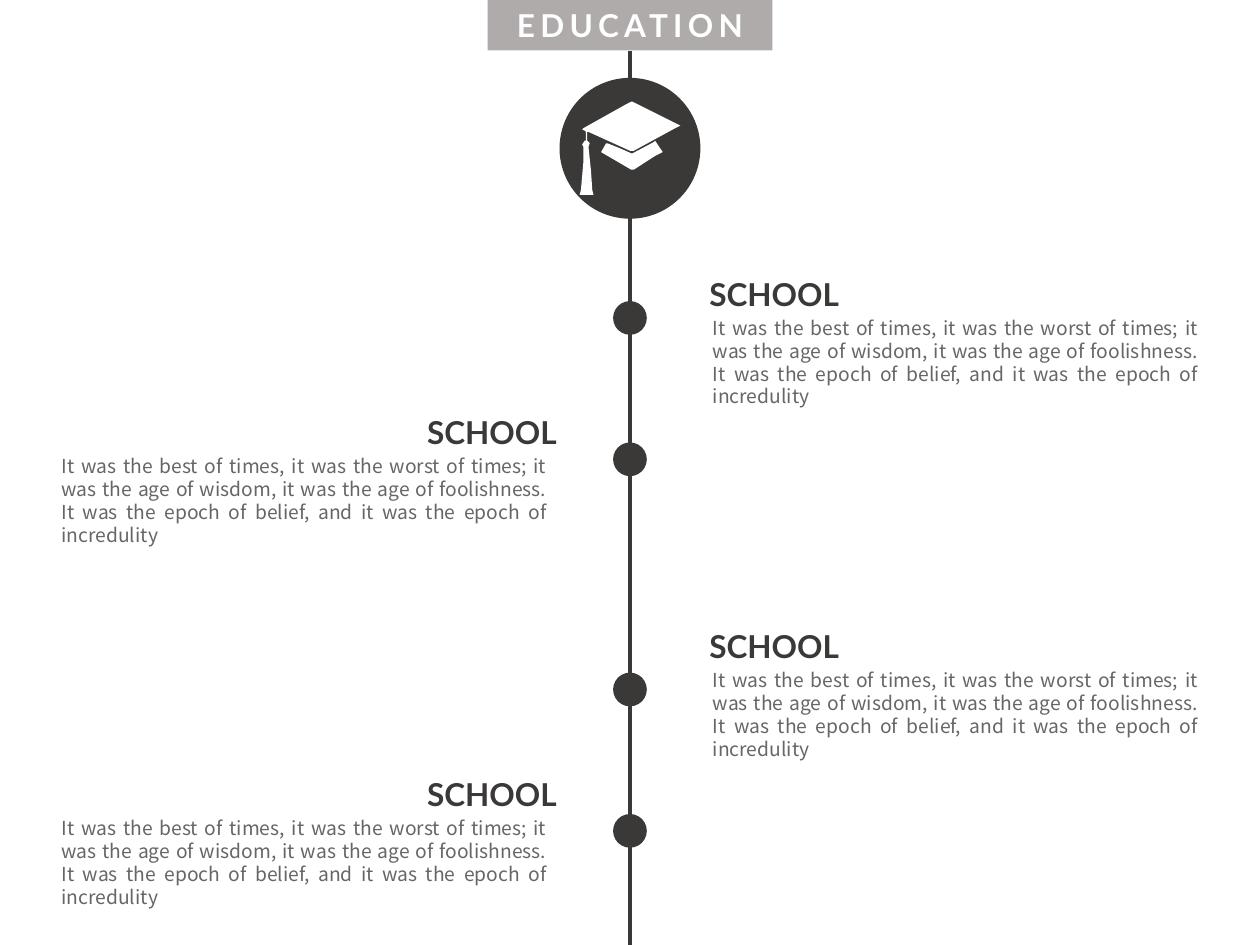
from dataclasses import dataclass

import lxml.etree
import pptx
import pptx.dml.color
import pptx.enum.shapes
import pptx.enum.text
import pptx.oxml.ns
import pptx.util
from pptx.util import Cm

SHAPE = pptx.enum.shapes.MSO_SHAPE
ALIGN = pptx.enum.text.PP_ALIGN


@dataclass(frozen=True)
class Theme:
    dark: str = "3B3838"
    banner: str = "AFABAB"
    body: str = "666666"
    white: str = "FFFFFF"
    heading_font: str = "Lato"
    body_font: str = "Noto Sans CJK SC"
    heading_size: float = 18
    body_size: float = 11
    body_leading: float = 13.1
    line_width: float = 2.25


THEME = Theme()
BODY_TEXT = (
    "It was the best of times, it was the worst of times; it was the age of "
    "wisdom, it was the age of foolishness. It was the epoch of belief, and "
    "it was the epoch of incredulity"
)
AXIS_X = 12.7
DOT_SIZE = 0.68
ENTRY_WIDTH, HEADING_WIDTH, HEADING_HEIGHT = 10.29, 4.11, 1.02

# Entry left, heading offset, heading top, dot top
RIGHT, LEFT = (14.12, -0.07), (0.99, 7.37)
ENTRIES = [
    (RIGHT, 5.41, 6.07),
    (LEFT, 8.2, 8.92),
    (RIGHT, 12.52, 13.56),
    (LEFT, 15.49, 16.41),
]

# Graduation cap outlines, on a grid 112 units across the badge
ICON_GRID = 112
BOARD_AND_TASSEL = [
    (22, 43), (22, 50), (24, 52), (23, 55), (25, 74), (26, 89), (27, 93),
    (16, 93), (17, 89), (19, 66), (19, 55), (18, 53), (20, 50), (21, 50),
    (21, 43), (20, 42), (18, 41), (19, 40), (53, 21), (57, 19), (58, 19),
    (90, 35), (96, 38), (92, 40), (59, 58), (56, 58), (23, 43),
]
CAP_BASE = [
    (33, 59), (37, 52), (38, 52), (48, 56), (57, 60), (58, 60), (75, 51),
    (76, 50), (82, 59), (76, 62), (59, 73), (57, 73),
]


def rgb(value):
    return pptx.dml.color.RGBColor.from_string(value)


def paint(shape, color):
    shape.shadow.inherit = False
    shape.fill.solid()
    shape.fill.fore_color.rgb = rgb(color)
    shape.line.fill.background()
    return shape


def add_filled(shapes, preset, box, color):
    return paint(shapes.add_shape(preset, *map(Cm, box)), color)


def write_text(shape, text, *, font, size, color, bold=False,
               align=ALIGN.LEFT, leading=None, spacing=None):
    frame = shape.text_frame
    frame.word_wrap = True
    frame.auto_size = pptx.enum.text.MSO_AUTO_SIZE.SHAPE_TO_FIT_TEXT
    paragraph = frame.paragraphs[0]
    paragraph.alignment = align
    if leading:
        paragraph.line_spacing = pptx.util.Pt(leading)
    run = paragraph.add_run()
    run.text = text
    run.font.name = font
    run.font.size = pptx.util.Pt(size)
    run.font.bold = bold
    run.font.color.rgb = rgb(color)
    if spacing:
        run.font._element.set("spc", str(int(spacing * 100)))


def add_axis(slide, top, bottom):
    line = slide.shapes.add_connector(
        pptx.enum.shapes.MSO_CONNECTOR.STRAIGHT,
        Cm(AXIS_X), Cm(top), Cm(AXIS_X), Cm(bottom))
    line.line.color.rgb = rgb(THEME.dark)
    line.line.width = pptx.util.Pt(THEME.line_width)
    lxml.etree.SubElement(line._element.spPr, pptx.oxml.ns.qn("a:effectLst"))


def add_banner(slide, box):
    banner = add_filled(slide.shapes, SHAPE.RECTANGLE, box, THEME.banner)
    write_text(banner, "EDUCATION", font=THEME.heading_font,
               size=THEME.heading_size, color=THEME.white, bold=True,
               align=ALIGN.CENTER, spacing=3)


def add_badge(slide, left, top, size):
    group = slide.shapes.add_group_shape()
    add_filled(group.shapes, SHAPE.OVAL, (left, top, size, size), THEME.dark)
    for outline in (BOARD_AND_TASSEL, CAP_BASE):
        builder = group.shapes.build_freeform(
            *outline[0], scale=Cm(size) / ICON_GRID)
        builder.add_line_segments(outline[1:], close=True)
        paint(builder.convert_to_shape(Cm(left), Cm(top)), THEME.white)


def add_dot(slide, top):
    box = (AXIS_X - DOT_SIZE / 2, top, DOT_SIZE, DOT_SIZE)
    add_filled(slide.shapes, SHAPE.OVAL, box, THEME.dark)


def add_entry(slide, left, top, heading_offset):
    body = slide.shapes.add_textbox(
        Cm(left), Cm(top + 0.84), Cm(ENTRY_WIDTH), Cm(2.13))
    write_text(body, BODY_TEXT, font=THEME.body_font, size=THEME.body_size,
               color=THEME.body, align=ALIGN.JUSTIFY,
               leading=THEME.body_leading)
    heading = slide.shapes.add_textbox(
        Cm(left + heading_offset), Cm(top), Cm(HEADING_WIDTH),
        Cm(HEADING_HEIGHT))
    write_text(heading, "SCHOOL", font=THEME.heading_font,
               size=THEME.heading_size, color=THEME.dark, bold=True)


def main():
    presentation = pptx.Presentation()
    presentation.slide_width = Cm(25.4)
    presentation.slide_height = Cm(19.05)
    slide = presentation.slides.add_slide(presentation.slide_layouts[6])

    # Timeline header
    add_axis(slide, 1.02, 19.05)
    add_banner(slide, (9.83, 0, 5.74, 1.02))
    add_badge(slide, 11.28, 1.57, 2.84)

    # Timeline entries
    for (left, heading_offset), top, dot_top in ENTRIES:
        add_dot(slide, dot_top)
        add_entry(slide, left, top, heading_offset)

    presentation.save("out.pptx")


if __name__ == "__main__":
    main()
